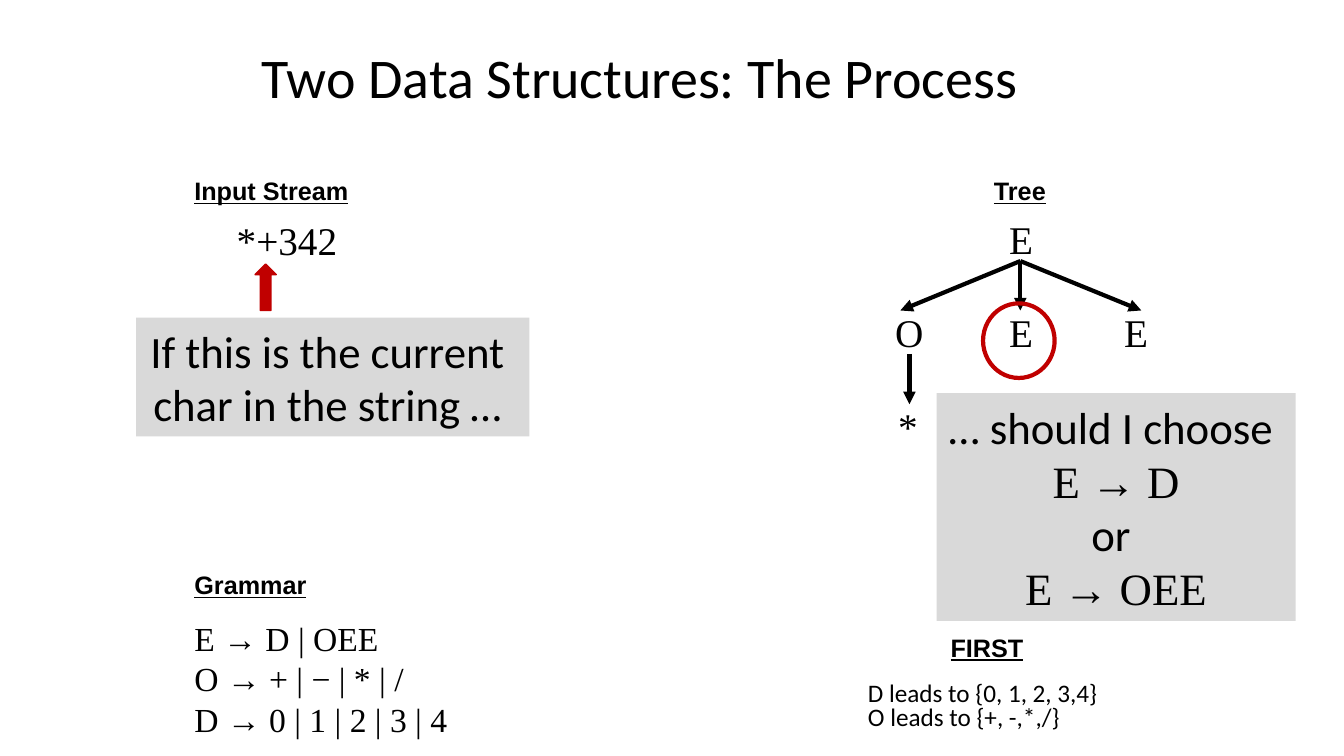
from lxml import etree
from pptx import Presentation
from pptx import util as u
from pptx.dml.color import RGBColor
from pptx.enum import shapes, text
from pptx.oxml.ns import qn

PX = u.Inches(1) // 100
COLORS = {"ink": "000000", "red": "C00000", "panel": "D9D9D9"}
SANS, SERIF, HEADING = "Calibri", "Times New Roman", "Arial"


def px(*lengths):
    return [length * PX for length in lengths]


def color(name):
    return RGBColor.from_string(COLORS[name])


def write(box, lines, size, fonts, wrap=False, heading=False, spacing=None,
          indent=0, align=text.PP_ALIGN.LEFT):
    frame = box.text_frame
    frame.text = "\n".join(lines)
    frame.word_wrap = wrap
    frame.auto_size = text.MSO_AUTO_SIZE.SHAPE_TO_FIT_TEXT
    for para, font in zip(frame.paragraphs, fonts):
        para.alignment = align
        para.line_spacing = spacing
        if indent:
            para._p.get_or_add_pPr().set("marL", str(indent * PX))
        for span in para.runs:
            span.font.name = font
            span.font.size = u.Pt(size)
            span.font.color.rgb = color("ink")
            if heading:
                span.font.bold = span.font.underline = True


def add_text(page, place, lines, size, font, **style):
    box = page.shapes.add_textbox(*px(*place))
    write(box, lines, size, [font] * len(lines), **style)
    return box


def add_shape(page, kind, place, fill=None, line=None, weight=1):
    shape = page.shapes.add_shape(kind, *px(*place))
    shape.shadow.inherit = False
    if fill:
        shape.fill.solid()
        shape.fill.fore_color.rgb = color(fill)
    else:
        shape.fill.background()
    if line:
        shape.line.color.rgb = color(line)
        shape.line.width = u.Pt(weight)
    else:
        shape.line.fill.background()
    return shape


def add_panel(page, place, lines, fonts):
    panel = add_shape(page, shapes.MSO_SHAPE.RECTANGLE, place, fill="panel")
    write(panel, lines, 32, fonts, align=text.PP_ALIGN.CENTER)


def add_arrow(page, start, end):
    arrow = page.shapes.add_connector(
        shapes.MSO_CONNECTOR.STRAIGHT, *px(*start, *end))
    arrow.line.color.rgb = color("ink")
    arrow.line.width = u.Pt(3)
    etree.SubElement(arrow.line._get_or_add_ln(), qn("a:tailEnd"), type="triangle")
    etree.SubElement(arrow._element.spPr, qn("a:effectLst"))


def add_tree(page):
    root = (1012, 259)
    for end_x in (1012, 893, 1132):
        add_arrow(page, root, (end_x, 308))
    add_arrow(page, (902, 351), (902, 401))
    nodes = [("E", 991, 209, 44), ("O", 878, 301, 49), ("E", 991, 301, 44),
             ("E", 1105, 301, 44), ("*", 881, 394, 40)]
    for symbol, left, top, width in nodes:
        add_text(page, (left, top, width, 57), [symbol], 28, SERIF)


def main():
    deck = Presentation()
    deck.slide_width, deck.slide_height = px(1333, 750)
    page = deck.slides.add_slide(deck.slide_layouts[6])

    title = add_text(page, (250, 17, 850, 125), ["Two Data Structures: The Process"],
                     40, SANS, wrap=True, spacing=0.9)
    title.text_frame.auto_size = text.MSO_AUTO_SIZE.NONE
    title.text_frame.vertical_anchor = text.MSO_ANCHOR.MIDDLE

    headings = [("Input Stream", 183, 169, 174), ("Tree", 976, 169, 72),
                ("Grammar", 183, 560, 132), ("FIRST", 933, 622, 93)]
    for label, left, top, width in headings:
        add_text(page, (left, top, width, 40), [label], 18, HEADING, heading=True)

    add_text(page, (225, 210, 120, 57), ["*+342"], 28, SERIF)
    add_text(page, (183, 608, 292, 131),
             ["E → D | OEE", "O → + | − | * | /", "D → 0 | 1 | 2 | 3 | 4"],
             24, SERIF, wrap=True)
    add_text(page, (801, 673, 301, 59),
             ["D leads to {0, 1, 2, 3,4}", "O leads to {+, -,*,/}"],
             18, SANS, spacing=0.8, indent=50)

    add_tree(page)
    add_shape(page, shapes.MSO_SHAPE.UP_ARROW, (253, 262, 21, 46),
              fill="red", line="red")
    add_panel(page, (135, 315, 390, 118),
              ["If this is the current ", "char in the string … "], [SANS, SANS])
    add_panel(page, (929, 390, 356, 226),
              ["… should I choose ", "E → D", "or ", "E → OEE"],
              [SANS, SERIF, SANS, SERIF])
    add_shape(page, shapes.MSO_SHAPE.OVAL, (975, 301, 71, 74), line="red", weight=3)

    deck.save("out.pptx")


if __name__ == "__main__":
    main()
